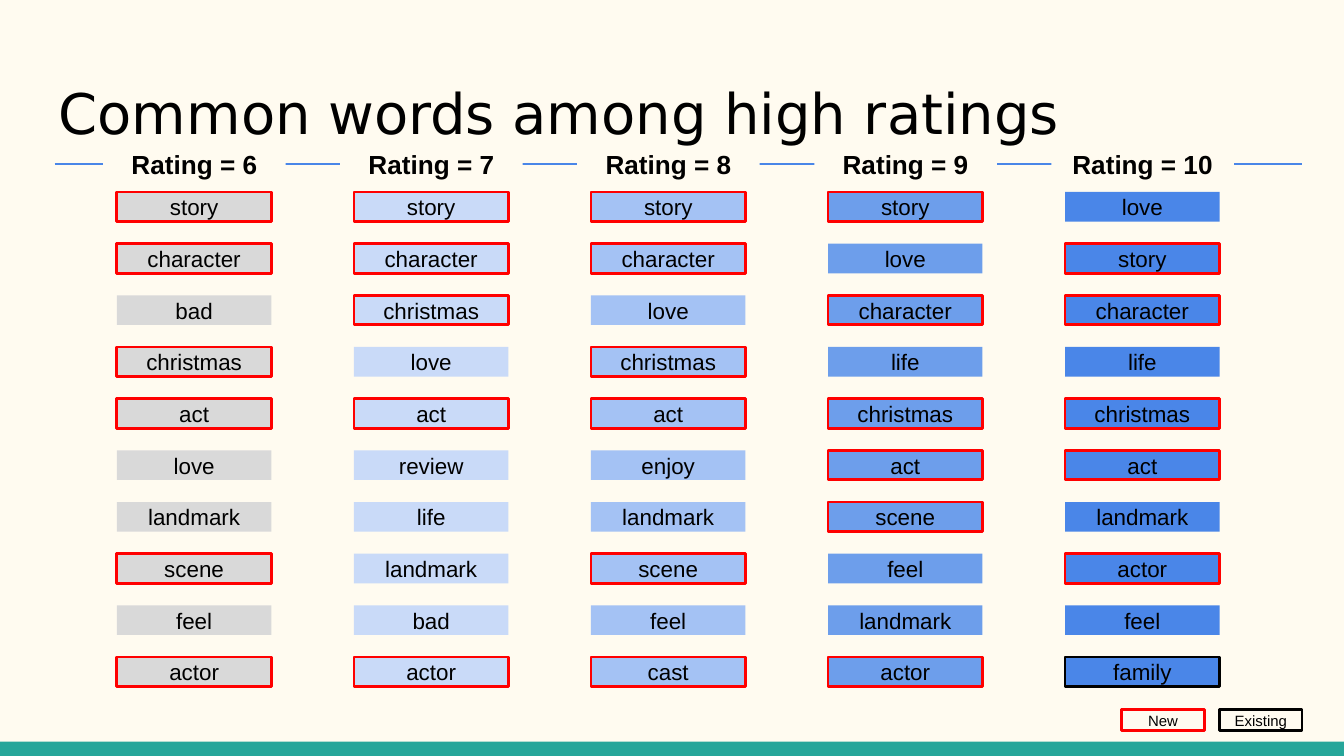
from lxml.etree import SubElement
from pptx import Presentation
from pptx.dml.color import RGBColor
from pptx.enum.shapes import MSO_CONNECTOR, MSO_SHAPE
from pptx.enum.text import MSO_ANCHOR, PP_ALIGN
from pptx.oxml.ns import qn
from pptx.util import Cm, Pt

CREAM, TEAL, BLUE = "FFFBF0", "26A69A", "4A86E8"
RED, BLACK = "FF0000", "000000"
PITCH = 4.48
STEP = 8.79 / 9

RATINGS = [
    ("Rating = 6", "D9D9D9",
     "story character bad christmas act love landmark scene feel actor"),
    ("Rating = 7", "C9DAF8",
     "story character christmas love act review life landmark bad actor"),
    ("Rating = 8", "A4C2F4",
     "story character love christmas act enjoy landmark scene feel cast"),
    ("Rating = 9", "6D9EEB",
     "story love character life christmas act scene feel landmark actor"),
    ("Rating = 10", BLUE,
     "love story character life christmas act landmark actor feel family"),
]
EDGES = dict.fromkeys("story character christmas act scene actor cast".split(), RED)
EDGES["family"] = BLACK


def paint(color, value):
    color.rgb = RGBColor.from_string(value)


def style(frame, text, size, face="Arial", bold=False):
    frame.text = text
    frame.word_wrap = True
    for side in ("left", "top", "right", "bottom"):
        setattr(frame, f"margin_{side}", Cm(0.25))
    font = frame.paragraphs[0].runs[0].font
    for name, value in {"size": Pt(size), "name": face, "bold": bold}.items():
        setattr(font, name, value)
    paint(font.color, BLACK)


def add_box(shapes, place, fill=None, edge=None, text="", size=12, bold=False):
    """Add a rectangle; place is left, top, width and height in cm."""
    box = shapes.add_shape(MSO_SHAPE.RECTANGLE, *map(Cm, place))
    box.shadow.inherit = False
    if fill:
        box.fill.solid()
        paint(box.fill.fore_color, fill)
    else:
        box.fill.background()
    if edge:
        paint(box.line.color, edge)
        box.line.width = Pt(1.5)
    else:
        box.line.fill.background()
    if text:
        style(box.text_frame, text, size, bold=bold)
        box.text_frame.vertical_anchor = MSO_ANCHOR.MIDDLE
        box.text_frame.paragraphs[0].alignment = PP_ALIGN.CENTER


def add_title(slide, text):
    title = slide.shapes.title
    place = {"left": 0.86, "top": 1.24, "width": 23.67, "height": 1.7}
    for name, value in place.items():
        setattr(title, name, Cm(value))
    style(title.text_frame, text, 30, "DejaVu Sans")
    title.text_frame.vertical_anchor = MSO_ANCHOR.TOP
    title.text_frame.paragraphs[0].alignment = PP_ALIGN.LEFT


def add_rule(slide, left, right, top):
    ends = map(Cm, (left, top, right, top))
    rule = slide.shapes.add_connector(MSO_CONNECTOR.STRAIGHT, *ends)
    paint(rule.line.color, BLUE)
    rule.line.width = Pt(0.75)
    SubElement(rule._element.spPr, qn("a:effectLst"))


def add_column(slide, index, head, fill, words):
    shapes = slide.shapes.add_group_shape().shapes
    left = 1.95 + index * PITCH
    add_box(shapes, (left, 2.84, 3.45, 0.53), CREAM, text=head, size=14, bold=True)
    for row, word in enumerate(words.split()):
        place = (left + 0.26, 3.63 + row * STEP, 2.92, 0.56)
        add_box(shapes, place, fill, EDGES.get(word), word)


def add_legend(slide):
    shapes = slide.shapes.add_group_shape().shapes
    for left, edge, text in ((21.2, RED, "New"), (23.05, BLACK, "Existing")):
        add_box(shapes, (left, 13.41, 1.56, 0.4), edge=edge, text=text, size=8)


def main():
    deck = Presentation()
    deck.slide_width, deck.slide_height = Cm(25.4), Cm(14.29)
    slide = deck.slides.add_slide(deck.slide_layouts[5])
    slide.background.fill.solid()
    paint(slide.background.fill.fore_color, CREAM)
    add_box(slide.shapes, (0, 14.02, 25.4, 0.27), TEAL)
    add_rule(slide, 1.03, 24.61, 3.1)
    add_title(slide, "Common words among high ratings")
    for index, rating in enumerate(RATINGS):
        add_column(slide, index, *rating)
    add_legend(slide)
    deck.save("out.pptx")


if __name__ == "__main__":
    main()
